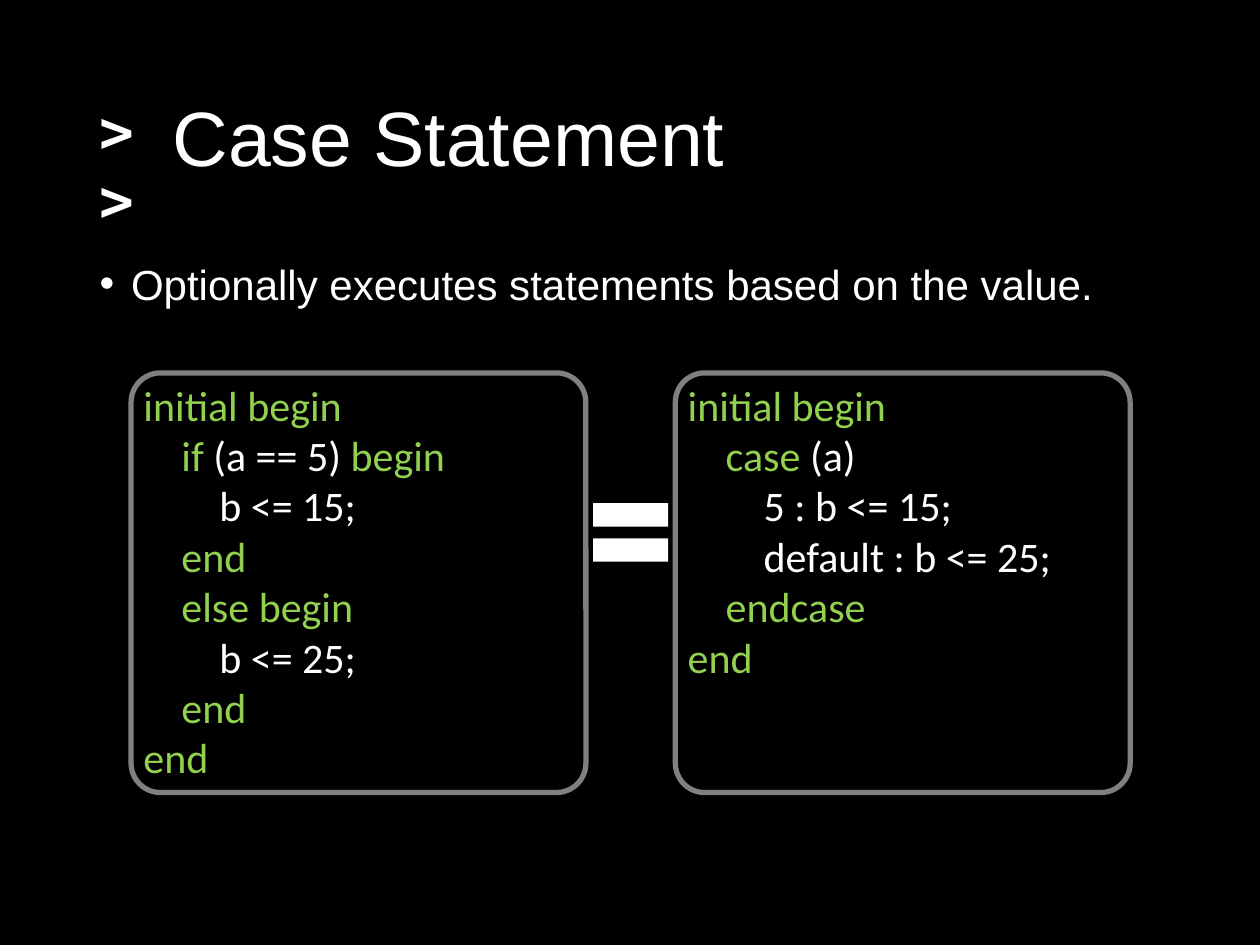
"""Build the Case Statement slide comparing if/else with case."""
from dataclasses import dataclass

from pptx import Presentation
from pptx.dml.color import RGBColor
from pptx.enum.shapes import MSO_SHAPE as Shape
from pptx.enum.text import MSO_ANCHOR as Anchor, MSO_AUTO_SIZE as AutoSize, PP_ALIGN as Align
from pptx.util import Pt


@dataclass(frozen=True)
class Theme:
    background: RGBColor = RGBColor(0, 0, 0)
    text: RGBColor = RGBColor(255, 255, 255)
    keyword: RGBColor = RGBColor(0x92, 0xD0, 0x50)
    outline: RGBColor = RGBColor(0x80, 0x80, 0x80)
    heading_font: str = "Arial"
    code_font: str = "Calibri"
    prompt_font: str = "DejaVu Sans Mono"
    title_size: int = 44
    prompt_size: int = 33
    text_size: int = 24


theme = Theme()


def set_font(font, name, size, color):
    font.name, font.size = name, Pt(size)
    font.color.rgb = color


def set_indent(paragraph, left, first=0):
    properties = paragraph._p.get_or_add_pPr()
    properties.set("marL", str(Pt(left)))
    properties.set("indent", str(Pt(first)))


presentation = Presentation()
presentation.slide_width, presentation.slide_height = Pt(720), Pt(540)
slide = presentation.slides.add_slide(presentation.slide_layouts[1])
slide.background.fill.solid()
slide.background.fill.fore_color.rgb = theme.background

prompt = slide.shapes.add_textbox(Pt(49.7), Pt(50.4), Pt(41.8), Pt(47.5))
prompt.text_frame.word_wrap = True
paragraph = prompt.text_frame.paragraphs[0]
run = paragraph.add_run()
run.text = ">>"
set_font(run.font, theme.prompt_font, theme.prompt_size, theme.text)
run.font.bold = run.font.italic = True
run._r.get_or_add_rPr().set("spc", "-450")

title, body = slide.shapes.title, slide.placeholders[1]
for placeholder, text, size, box in (
    (title, "Case Statement", theme.title_size, (91.4, 28.8, 578.9, 104.4)),
    (body, "Optionally executes statements based on the value.", theme.text_size,
     (49.7, 144, 634.3, 36)),
):
    placeholder.left, placeholder.top, placeholder.width, placeholder.height = map(Pt, box)
    placeholder.text_frame.text = text
    placeholder.text_frame.auto_size = AutoSize.NONE
    paragraph = placeholder.text_frame.paragraphs[0]
    paragraph.alignment = Align.LEFT
    set_font(paragraph.font, theme.heading_font, size, theme.text)
title.text_frame.vertical_anchor = Anchor.MIDDLE
title.text_frame.paragraphs[0].line_spacing = 0.9
body.text_frame.paragraphs[0].space_before = Pt(10)
set_indent(body.text_frame.paragraphs[0], 18, -18)

KEYWORDS = {"initial begin", "if", "begin", "else begin", "case", "endcase", "end"}
LEVEL_INDENT = 21.7
PANEL_TOP, PANEL_WIDTH, PANEL_HEIGHT = 213.1, 259.9, 239.8
panels = (
    (385.9, 223.9, 181.4, (
        (0, ["initial begin"]),
        (1, ["case", " (a)"]),
        (2, ["5 : b <= 15;"]),
        (2, ["default : b <= 25;"]),
        (1, ["endcase"]),
        (0, ["end"]),
    )),
    (74.9, 187.9, PANEL_HEIGHT, (
        (0, ["initial begin"]),
        (1, ["if", " (a == 5) ", "begin"]),
        (2, ["b <= 15;"]),
        (1, ["end"]),
        (1, ["else begin"]),
        (2, ["b <= 25;"]),
        (1, ["end"]),
        (0, ["end"]),
    )),
)
for left, code_width, code_height, lines in panels:
    panel = slide.shapes.add_group_shape()
    code = panel.shapes.add_textbox(Pt(left), Pt(PANEL_TOP), Pt(code_width), Pt(code_height))
    frame = code.text_frame
    frame.word_wrap = False
    frame.auto_size = AutoSize.SHAPE_TO_FIT_TEXT
    for number, (level, parts) in enumerate(lines):
        paragraph = frame.add_paragraph() if number else frame.paragraphs[0]
        set_indent(paragraph, level * LEVEL_INDENT)
        for part in parts:
            run = paragraph.add_run()
            run.text = part
            color = theme.keyword if part in KEYWORDS else theme.text
            set_font(run.font, theme.code_font, theme.text_size, color)

    border = panel.shapes.add_shape(
        Shape.ROUNDED_RECTANGLE, Pt(left), Pt(PANEL_TOP), Pt(PANEL_WIDTH), Pt(PANEL_HEIGHT))
    border.adjustments[0] = 0.07
    border.shadow.inherit = False
    border.fill.background()
    border.line.color.rgb = theme.outline
    border.line.width = Pt(3)

equals = slide.shapes.add_shape(Shape.MATH_EQUAL, Pt(331.2), Pt(275.8), Pt(58.3), Pt(56.9))
equals.shadow.inherit = False
equals.fill.solid()
equals.fill.fore_color.rgb = theme.text
equals.line.fill.background()

presentation.save("out.pptx")
